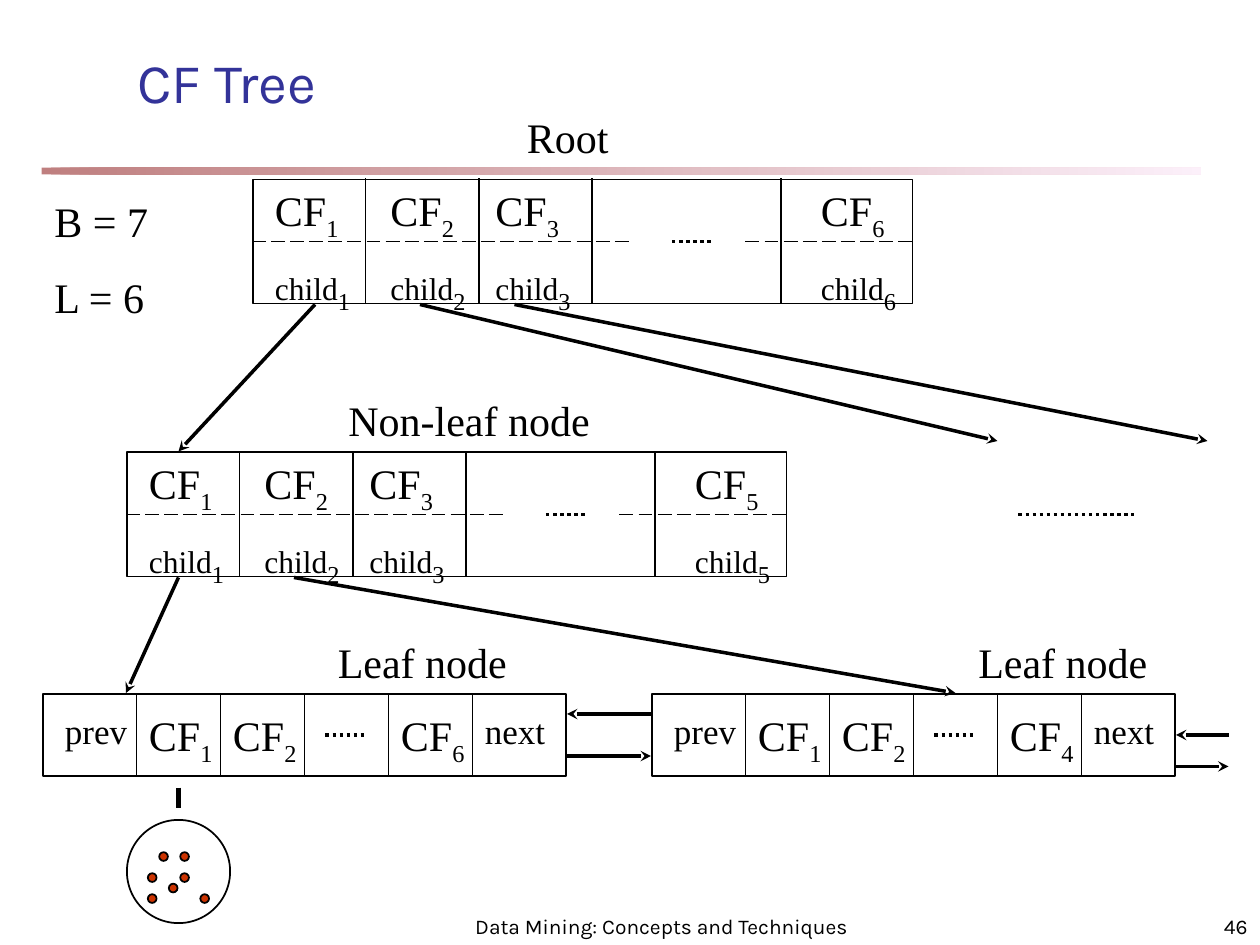
from lxml.etree import SubElement
from pptx import Presentation
from pptx.dml.color import RGBColor
from pptx.enum.dml import MSO_LINE
from pptx.enum.shapes import MSO_CONNECTOR, MSO_SHAPE
from pptx.enum.text import MSO_ANCHOR, MSO_AUTO_SIZE, PP_ALIGN
from pptx.oxml.ns import qn
from pptx.util import Pt

# Content: a text piece is (text, size, is_subscript)
COLORS = {"ink": "000000", "title": "333399", "dot": "CC3300",
          "bar_dark": "800000", "bar_light": "FAE2F6"}
SERIF, SANS = "Times New Roman", "Karla"
NODES = [(144, 102, (1, 2, 3, 6), True), (72, 258, (1, 2, 3, 5), False)]
LEAVES = [(24, 6), (372, 4)]
LABELS = [  # left, top, width, lines
    (24, 108, 84, ["B = 7", "L = 6"]),
    (294, 60, 78, ["Root"]),
    (192, 222, 156, ["Non-leaf node"]),
    (186, 360, 114, ["Leaf node"]),
    (552, 360, 114, ["Leaf node"]),
]
ARROWS = [  # from x, y, to x, y
    (180, 174, 102, 258), (240, 174, 570, 252), (294, 174, 690, 252),
    (102, 330, 72, 396), (168, 330, 546, 396),
    (372, 408, 324, 408), (324, 432, 372, 432),
    (672, 438, 702, 438), (702, 420, 672, 420),
]
FOOTERS = [(264, 228, "Data Mining: Concepts and Techniques", PP_ALIGN.CENTER),
           (570, 150, "46", PP_ALIGN.RIGHT)]
POINTS = [(91, 487), (103, 499), (103, 487), (84.5, 511),
          (84.5, 499), (96.5, 505), (114.5, 511)]

# Offsets inside a node and inside a leaf
NODE_DIVIDERS = (64.8, 129.6, 194.4, 302.4)
NODE_TEXTS = (6, 72, 132, 318)
LEAF_CELL, LEAF_FIRST = 48, 54


def rgb(name):
    return RGBColor.from_string(COLORS[name])


def add_line(shapes, x1, y1, x2, y2, width=1, dash=None, arrow=False):
    c = shapes.add_connector(MSO_CONNECTOR.STRAIGHT, Pt(x1), Pt(y1), Pt(x2), Pt(y2))
    c.line.color.rgb = rgb("ink")
    c.line.width = Pt(width)
    if dash:
        c.line.dash_style = dash
    if arrow:
        SubElement(c.line._get_or_add_ln(), qn("a:tailEnd"), type="stealth")
    SubElement(c._element.spPr, qn("a:effectLst"))


def add_shape(shapes, kind, x, y, w, h, fill=None, line="ink"):
    sp = shapes.add_shape(kind, Pt(x), Pt(y), Pt(w), Pt(h))
    sp.shadow.inherit = False
    if fill:
        sp.fill.solid()
        sp.fill.fore_color.rgb = rgb(fill)
    else:
        sp.fill.background()
    if line:
        sp.line.color.rgb = rgb(line)
        sp.line.width = Pt(1)
    else:
        sp.line.fill.background()
    return sp


def write(p, pieces, font, color="ink"):
    for text, size, sub in pieces:
        r = p.add_run()
        r.text = text
        for key, value in {"name": font, "size": Pt(size), "bold": False}.items():
            setattr(r.font, key, value)
        r.font.color.rgb = rgb(color)
        if sub:
            r._r.get_or_add_rPr().set("baseline", "-25000")


def add_text(shapes, x, y, w, h, paragraphs, font=SERIF, before=15,
             align=PP_ALIGN.LEFT, anchor=MSO_ANCHOR.TOP):
    tf = shapes.add_textbox(Pt(x), Pt(y), Pt(w), Pt(h)).text_frame
    tf.word_wrap = True
    tf.vertical_anchor = anchor
    for i, pieces in enumerate(paragraphs):
        p = tf.add_paragraph() if i else tf.paragraphs[0]
        p.alignment = align
        p.space_before = Pt(before)
        write(p, pieces, font)


def add_entry(shapes, x, y, w, word, size, number):
    add_text(shapes, x, y, w, 40, [[(word, size, False), (str(number), 24, True)]])


def add_node(shapes, x, y, numbers):
    middle = y + 36
    add_shape(shapes, MSO_SHAPE.RECTANGLE, x + 0.5, y + 0.5, 377, 71)
    for dx in NODE_DIVIDERS:
        add_line(shapes, x + dx, y, x + dx, y + 72)
    for start, end in ((0, 216), (282, 378)):
        add_line(shapes, x + start, middle, x + end, middle, dash=MSO_LINE.LONG_DASH)
    for dx, number in zip(NODE_TEXTS, numbers):
        add_entry(shapes, x + dx, y, 54, "CF", 24, number)
        add_entry(shapes, x + dx, y + 42, 72, "child", 18, number)


def add_leaf(shapes, x, last):
    add_shape(shapes, MSO_SHAPE.RECTANGLE, x + 0.5, 396.5, 299, 47)
    edges = [x + LEAF_FIRST + LEAF_CELL * i for i in range(5)]
    for edge in edges:
        add_line(shapes, edge, 396, edge, 444)
    for edge, number in zip((edges[0], edges[1], edges[3]), (1, 2, last)):
        add_entry(shapes, edge, 402, 54, "CF", 24, number)
    for left, word in ((x + 6, "prev"), (edges[4], "next")):
        add_text(shapes, left, 402, 54, 31, [[(word, 20, False)]], before=12.5)
    add_dots(shapes, edges[2] + 12, 420, 24)


def add_dots(shapes, x, y, w):
    add_line(shapes, x, y, x + w, y, width=2, dash=MSO_LINE.ROUND_DOT)


prs = Presentation()
prs.slide_width, prs.slide_height = Pt(720), Pt(540)
s = prs.slides.add_slide(prs.slide_layouts[5])
shapes = s.shapes

# Title
title = shapes.title
for key, value in {"left": 71.3, "top": 38.9, "width": 178.6, "height": 30.2}.items():
    setattr(title, key, Pt(value))
tf = title.text_frame
for key, value in {"vertical_anchor": MSO_ANCHOR.BOTTOM, "word_wrap": True,
                   "auto_size": MSO_AUTO_SIZE.NONE}.items():
    setattr(tf, key, value)
tf.paragraphs[0].alignment = PP_ALIGN.LEFT
write(tf.paragraphs[0], [("CF Tree", 32, False)], SANS, "title")

# Fading bar under the title
bar = add_shape(shapes, MSO_SHAPE.RECTANGLE, 23.8, 95.8, 662.4, 3.9, line=None)
bar.fill.gradient()
bar.fill.gradient_angle = 0
for stop, name in zip(bar.fill.gradient_stops, ("bar_dark", "bar_light")):
    stop.color.rgb = rgb(name)
for color in bar._element.spPr.iter(qn("a:srgbClr")):
    SubElement(color, qn("a:alpha"), val="50000")

# Root and non-leaf node
for x, y, numbers, grouped in NODES:
    add_node(shapes.add_group_shape().shapes if grouped else shapes, x, y, numbers)
    add_dots(shapes, x + 240, y + 36, 24)
add_dots(shapes, 582, 294, 66)

# Leaves, arrows and labels
for x, last in LEAVES:
    add_leaf(shapes, x, last)
for ends in ARROWS:
    add_line(shapes, *ends, width=2, arrow=True)
for x, y, w, lines in LABELS:
    add_text(shapes, x, y, w, 36 if len(lines) == 1 else 80,
             [[(line, 24, False)] for line in lines])

# Cluster of points under the first leaf entry
cluster = shapes.add_group_shape().shapes
for x, y in POINTS:
    add_shape(cluster, MSO_SHAPE.OVAL, x, y, 5, 5, fill="dot")
add_shape(cluster, MSO_SHAPE.OVAL, 72.5, 468.5, 59, 59)
add_line(shapes, 102, 450, 102, 462, width=3)

# Footer and page number
for x, w, text, align in FOOTERS:
    add_text(shapes, x, 510, w, 30, [[(text, 12, False)]], SANS, 0, align,
             MSO_ANCHOR.BOTTOM)

prs.save("out.pptx")
